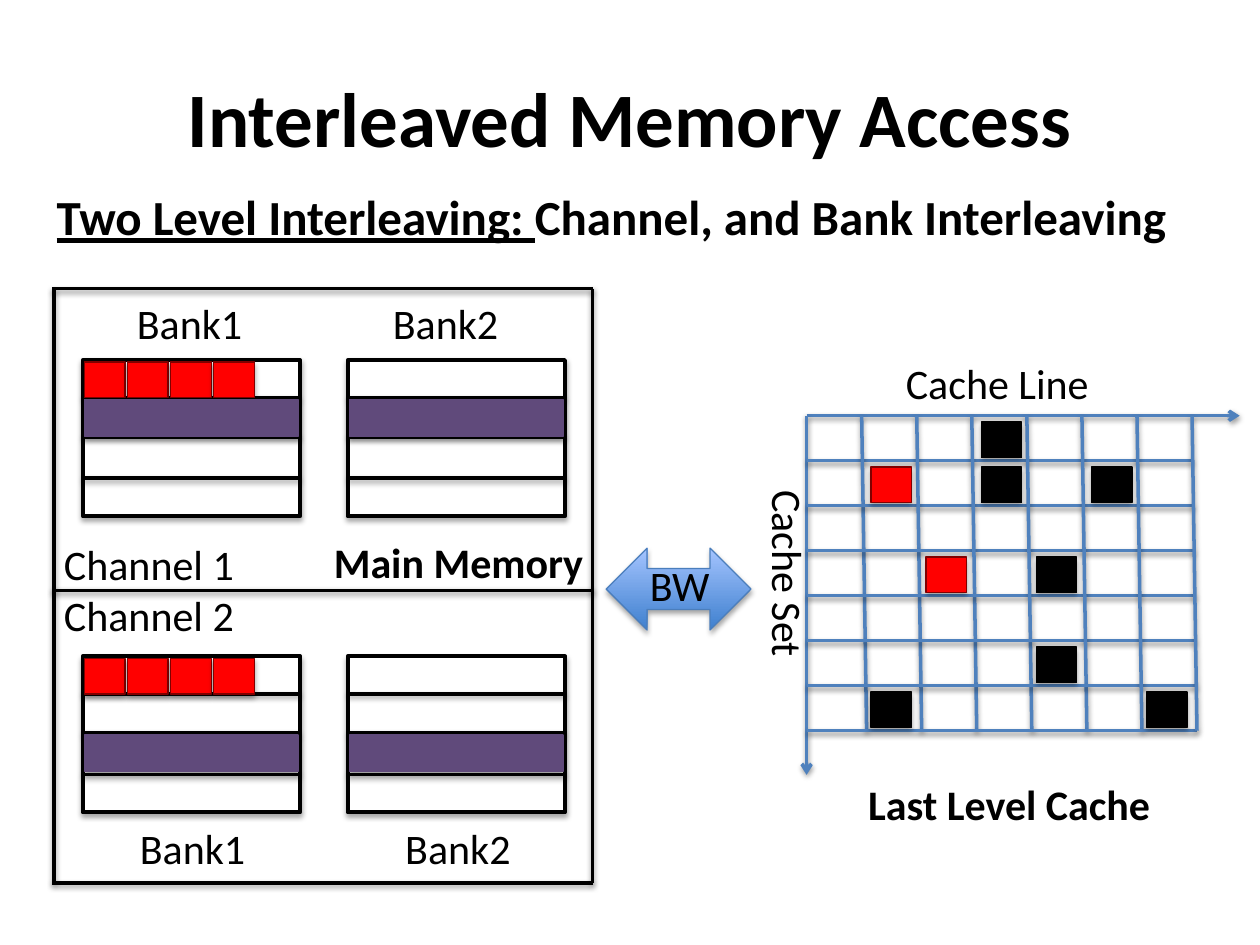
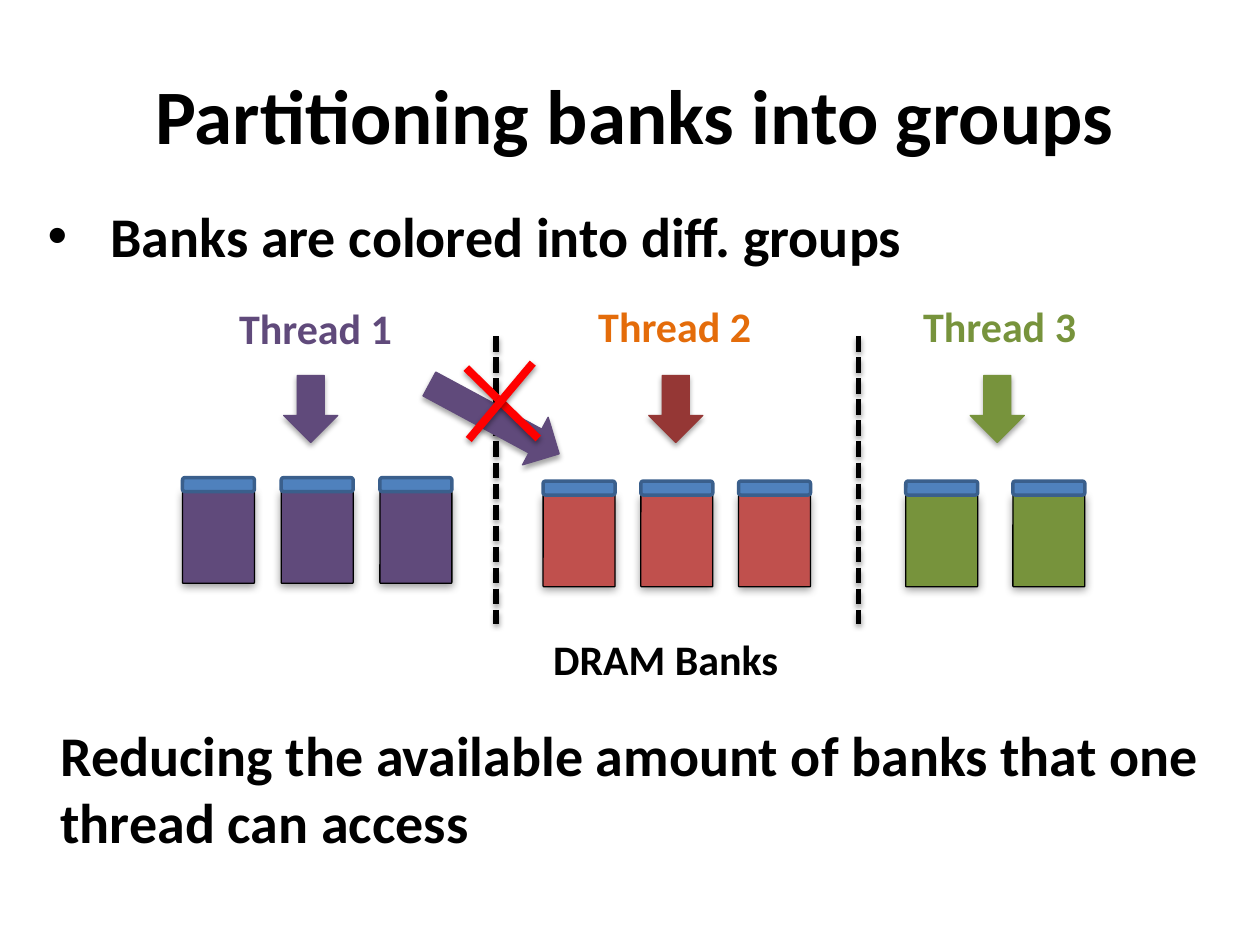
from dataclasses import dataclass
from itertools import product
from typing import Any, Optional

from lxml.etree import SubElement
from pptx import Presentation
from pptx.dml.color import RGBColor
from pptx.enum.dml import MSO_LINE
from pptx.enum.shapes import MSO_CONNECTOR, MSO_SHAPE
from pptx.enum.text import MSO_ANCHOR, MSO_AUTO_SIZE, PP_ALIGN
from pptx.oxml.ns import qn
from pptx.util import Cm, Pt


@dataclass(frozen=True)
class Theme:
    """Colours, font and type sizes of both slides."""
    font: str = "Calibri"
    title_size: float = 44
    statement_size: float = 32
    subtitle_size: float = 28
    label_size: float = 24
    black: str = "000000"
    white: str = "FFFFFF"
    red: str = "FF0000"
    dark_red: str = "800000"
    purple: str = "604A7B"
    orange: str = "E46C0A"
    brick: str = "C0504D"
    dark_brick: str = "953735"
    green: str = "77933C"
    blue: str = "4F81BD"
    dark_blue: str = "3A5F8C"
    arrow_line: str = "4B7EBC"
    arrow_bottom: str = "3F80CE"
    arrow_top: str = "A4C4FF"


THEME = Theme()


@dataclass(frozen=True)
class Box:
    """A rectangle in centimetres."""
    left: float
    top: float
    width: float
    height: float

    def lengths(self) -> tuple:
        """Return the four sides as lengths."""
        return Cm(self.left), Cm(self.top), Cm(self.width), Cm(self.height)


@dataclass(frozen=True)
class Shadow:
    """A soft shadow falling straight down."""
    opacity: int
    blur: float
    distance: float


SHAPE_SHADOW = Shadow(35, 3.1, 1.8)
LINE_SHADOW = Shadow(38, 3.1, 1.6)
BANK_SHADOW = Shadow(38, 5, 1.6)


@dataclass(frozen=True)
class Label:
    """A piece of text with its place and look."""
    text: str
    box: Box
    size: float = THEME.label_size
    color: str = THEME.black
    bold: bool = False


@dataclass(frozen=True)
class Stroke:
    """The look of a connector."""
    color: str = THEME.black
    width: float = 2
    dashed: bool = False
    arrow: bool = False


@dataclass(frozen=True)
class MemoryBank:
    """A memory bank with one highlighted row."""
    left: float
    top: float
    band_row: int
    red_cells: int


@dataclass(frozen=True)
class ThreadGroup:
    """A thread with its arrow and the banks it owns."""
    label: Label
    arrow_left: float
    arrow_color: str
    bank_left: float
    bank_top: float
    bank_pitch: float
    bank_count: int
    bank_color: str


def apply_format(target: Any, values: dict) -> None:
    """Set each attribute named in values."""
    for name, value in values.items():
        setattr(target, name, value)


def add_shadow(shape: Any, shadow: Optional[Shadow]) -> None:
    """Give a shape an explicit effect list, empty without a shadow."""
    effects = SubElement(shape._element.spPr, qn("a:effectLst"))
    if shadow:
        outer = SubElement(effects, qn("a:outerShdw"), blurRad=str(int(Pt(shadow.blur))),
                           dist=str(int(Pt(shadow.distance))), dir="5400000", rotWithShape="0")
        color = SubElement(outer, qn("a:srgbClr"), val=THEME.black)
        SubElement(color, qn("a:alpha"), val=str(shadow.opacity * 1000))


def add_line(slide: Any, start: tuple, end: tuple, stroke: Stroke = Stroke()) -> None:
    """Draw a straight connector between two points in centimetres."""
    connector = slide.shapes.add_connector(MSO_CONNECTOR.STRAIGHT, *map(Cm, start + end))
    connector.line.color.rgb = RGBColor.from_string(stroke.color)
    connector.line.width = Pt(stroke.width)
    if stroke.dashed:
        connector.line.dash_style = MSO_LINE.SQUARE_DOT
    if stroke.arrow:
        SubElement(connector._element.spPr.find(qn("a:ln")), qn("a:tailEnd"), type="arrow")
    add_shadow(connector, LINE_SHADOW)


def add_figure(slide: Any, kind: Any, box: Box, fill: Optional[str], line: str,
               width: float = 0.75, shadow: Optional[Shadow] = SHAPE_SHADOW) -> Any:
    """Draw a preset shape, with the vertical gradient when fill is None."""
    shape = slide.shapes.add_shape(kind, *box.lengths())
    if fill:
        shape.fill.solid()
        shape.fill.fore_color.rgb = RGBColor.from_string(fill)
    else:
        shape.fill.gradient()
        shape.fill.gradient_angle = 90
        for stop, color in zip(shape.fill.gradient_stops, (THEME.arrow_bottom, THEME.arrow_top)):
            stop.color.rgb = RGBColor.from_string(color)
    shape.line.color.rgb = RGBColor.from_string(line)
    shape.line.width = Pt(width)
    add_shadow(shape, shadow)
    return shape


def add_run(paragraph: Any, text: str, label: Label, underline: bool = False) -> None:
    """Append text in the look of a label."""
    run = paragraph.add_run()
    run.text = text
    apply_format(run.font, {"name": THEME.font, "size": Pt(label.size),
                            "bold": label.bold, "underline": underline})
    run.font.color.rgb = RGBColor.from_string(label.color)


def add_label(slide: Any, label: Label, underlined: str = "") -> Any:
    """Add a text box, opening with an optional underlined part."""
    shape = slide.shapes.add_textbox(*label.box.lengths())
    apply_format(shape.text_frame, {"word_wrap": True, "auto_size": MSO_AUTO_SIZE.SHAPE_TO_FIT_TEXT})
    paragraph = shape.text_frame.paragraphs[0]
    if underlined:
        add_run(paragraph, underlined, label, underline=True)
    add_run(paragraph, label.text, label)
    return shape


def add_titled_slide(presentation: Any, text: str, left: float, top: float) -> Any:
    """Add a title-only slide and format its title."""
    slide = presentation.slides.add_slide(presentation.slide_layouts[5])
    box = Box(left, top, 22.86, 3.18)
    title = slide.shapes.title
    apply_format(title, dict(zip(("left", "top", "width", "height"), box.lengths())))
    title.text_frame.vertical_anchor = MSO_ANCHOR.MIDDLE
    paragraph = title.text_frame.paragraphs[0]
    paragraph.alignment = PP_ALIGN.CENTER
    add_run(paragraph, text, Label(text, box, THEME.title_size, bold=True))
    return slide


def add_cell(slide: Any, left: float, top: float, fill: str, line: str) -> None:
    """Draw one cached block."""
    add_figure(slide, MSO_SHAPE.RECTANGLE, Box(left, top, 0.82, 0.72), fill, line)


def add_memory_bank(slide: Any, bank: MemoryBank) -> None:
    """Draw a bank with its rows, red cells and highlighted row."""
    width, row_tops = 4.38, (0, 0.76, 1.55, 2.38)
    add_figure(slide, MSO_SHAPE.RECTANGLE, Box(bank.left, bank.top, width, 3.15),
               THEME.white, THEME.black, 2.25)
    for offset in row_tops[1:]:
        add_line(slide, (bank.left, bank.top + offset), (bank.left + width, bank.top + offset))
    for index in range(bank.red_cells):
        add_cell(slide, bank.left + 0.03 + 0.87 * index, bank.top + 0.04, THEME.red, THEME.dark_red)
    band = Box(bank.left + 0.04, bank.top + row_tops[bank.band_row] + 0.04, width - 0.08, 0.74)
    add_figure(slide, MSO_SHAPE.RECTANGLE, band, THEME.purple, THEME.purple)


def add_memory_frame(slide: Any) -> None:
    """Outline main memory and split it into two channels."""
    left, right, top, middle, bottom = 1.09, 11.94, 5.82, 11.9, 17.8
    for x, (start, end) in product((left, right), ((top, middle), (middle, bottom))):
        add_line(slide, (x, start), (x, end))
    for y in (top, middle, bottom):
        add_line(slide, (left - 0.04, y), (right + 0.02, y))


def add_cache(slide: Any) -> None:
    """Draw the cache grid with its axes and occupied cells."""
    left, top, size, lean = 16.26, 8.38, 7, 0.1
    column, row = 1.11, 0.907
    right, bottom = left + size * column, top + size * row
    stroke, axis = Stroke(THEME.blue), Stroke(THEME.blue, arrow=True)
    add_line(slide, (left, top), (24.99, top), axis)
    add_line(slide, (left, top), (left, 15.62), axis)
    for index in range(1, size + 1):
        x, y = left + index * column, top + index * row
        add_line(slide, (left, y), (right + lean * index / size, y), stroke)
        add_line(slide, (x, top), (x + lean, bottom), stroke)
    occupied = {
        (THEME.red, THEME.dark_red): ((1, 1), (3, 2)),
        (THEME.black, THEME.black): ((0, 3), (1, 3), (1, 5), (3, 4), (5, 4), (6, 1), (6, 6)),
    }
    for (fill, line), places in occupied.items():
        for row_index, column_index in places:
            add_cell(slide, left + column_index * column + 0.19, top + row_index * row + 0.13, fill, line)


def add_thread_group(slide: Any, group: ThreadGroup) -> None:
    """Draw a thread label, its arrow and its capped banks."""
    add_label(slide, group.label)
    add_figure(slide, MSO_SHAPE.DOWN_ARROW, Box(group.arrow_left, 7.57, 1.09, 1.35),
               group.arrow_color, group.arrow_color)
    for index in range(group.bank_count):
        left = group.bank_left + index * group.bank_pitch
        body = add_figure(slide, MSO_SHAPE.ROUNDED_RECTANGLE, Box(left, group.bank_top + 0.28, 1.45, 1.85),
                          group.bank_color, THEME.black, shadow=BANK_SHADOW)
        body.adjustments[0] = 0.013
        add_figure(slide, MSO_SHAPE.ROUNDED_RECTANGLE, Box(left, group.bank_top, 1.45, 0.28),
                   THEME.blue, THEME.dark_blue, 2, None)


def build_interleaving_slide(presentation: Any) -> None:
    """Show main memory, bandwidth and the last level cache."""
    slide = add_titled_slide(presentation, "Interleaved Memory Access", 1.27, 0.76)
    add_label(slide, Label("Channel, and Bank Interleaving", Box(0.89, 3.63, 24.13, 1.45),
                           THEME.subtitle_size, bold=True), "Two Level Interleaving: ")
    add_memory_frame(slide)
    for (left, red_cells), (top, band_row) in product(((1.67, 4), (7.01, 0)), ((7.26, 1), (13.23, 2))):
        add_memory_bank(slide, MemoryBank(left, top, band_row, red_cells))
    add_cache(slide)
    add_figure(slide, MSO_SHAPE.LEFT_RIGHT_ARROW, Box(12.22, 11.05, 2.92, 1.65), None, THEME.arrow_line)
    labels = (
        Label("BW", Box(12.85, 11.15, 3.1, 1.27)),
        Label("Channel 1", Box(1.04, 10.74, 4.34, 1.27)),
        Label("Channel 2", Box(1.04, 11.76, 4.34, 1.27)),
        Label("Bank1", Box(2.51, 5.87, 3.71, 1.27)),
        Label("Bank2", Box(7.67, 5.87, 3.71, 1.27)),
        Label("Bank1", Box(2.57, 16.45, 3.71, 1.27)),
        Label("Bank2", Box(7.92, 16.45, 3.71, 1.27)),
        Label("Cache Line", Box(18.01, 7.09, 5.49, 1.27)),
        Label("Last Level Cache", Box(17.25, 15.57, 7.39, 1.27), bold=True),
        Label("Main Memory", Box(6.48, 10.69, 5.97, 1.27), bold=True),
    )
    for label in labels:
        add_label(slide, label)
    cache_set = add_label(slide, Label("Cache Set", Box(14.99, 9.63, 1.55, 4.75)))
    cache_set.text_frame._txBody.bodyPr.set("vert", "eaVert")


def build_partitioning_slide(presentation: Any) -> None:
    """Show banks divided among three threads."""
    slide = add_titled_slide(presentation, "Partitioning banks into groups", 1.37, 0.71)
    bullet = add_label(slide, Label("Banks are colored into diff. groups", Box(0.71, 3.94, 24.16, 1.63),
                                    THEME.statement_size, bold=True))
    properties = bullet.text_frame.paragraphs[0]._p.get_or_add_pPr()
    properties.set("marL", str(int(Cm(1.27))))
    properties.set("indent", str(int(Cm(-1.27))))
    SubElement(properties, qn("a:buFont"), typeface="Arial")
    SubElement(properties, qn("a:buChar"), char="•")
    for x in (10, 17.3):
        add_line(slide, (x, 6.78), (x, 12.57), Stroke(width=3, dashed=True))
    groups = (
        ThreadGroup(Label("Thread 1", Box(4.57, 5.97, 3.99, 1.27), color=THEME.purple, bold=True),
                    5.72, THEME.purple, 3.68, 9.63, 1.99, 3, THEME.purple),
        ThreadGroup(Label("Thread 2", Box(11.81, 5.94, 5.08, 1.27), color=THEME.orange, bold=True),
                    13.08, THEME.dark_brick, 10.95, 9.7, 1.97, 3, THEME.brick),
        ThreadGroup(Label("Thread 3", Box(18.36, 5.94, 4.14, 1.27), color=THEME.green, bold=True),
                    19.56, THEME.green, 18.26, 9.7, 2.16, 2, THEME.green),
    )
    for group in groups:
        add_thread_group(slide, group)
    blocked = add_figure(slide, MSO_SHAPE.DOWN_ARROW, Box(9.42, 6.96, 1.09, 2.97), THEME.purple, THEME.purple)
    blocked.rotation = 298.3
    for start, end in (((9.4, 7.42), (10.85, 8.84)), ((9.45, 8.86), (10.74, 7.32))):
        add_line(slide, start, end, Stroke(THEME.red, 4.5))
    add_label(slide, Label("DRAM Banks", Box(10.9, 12.65, 5.56, 1.27), bold=True))
    add_label(slide, Label("Reducing the available amount of banks that one thread can access",
                           Box(0.97, 14.4, 24.69, 3), THEME.statement_size, bold=True))


def main() -> None:
    """Build and save the presentation."""
    presentation = Presentation()
    apply_format(presentation, {"slide_width": Cm(25.4), "slide_height": Cm(19.05)})
    build_interleaving_slide(presentation)
    build_partitioning_slide(presentation)
    presentation.save("out.pptx")


main()
